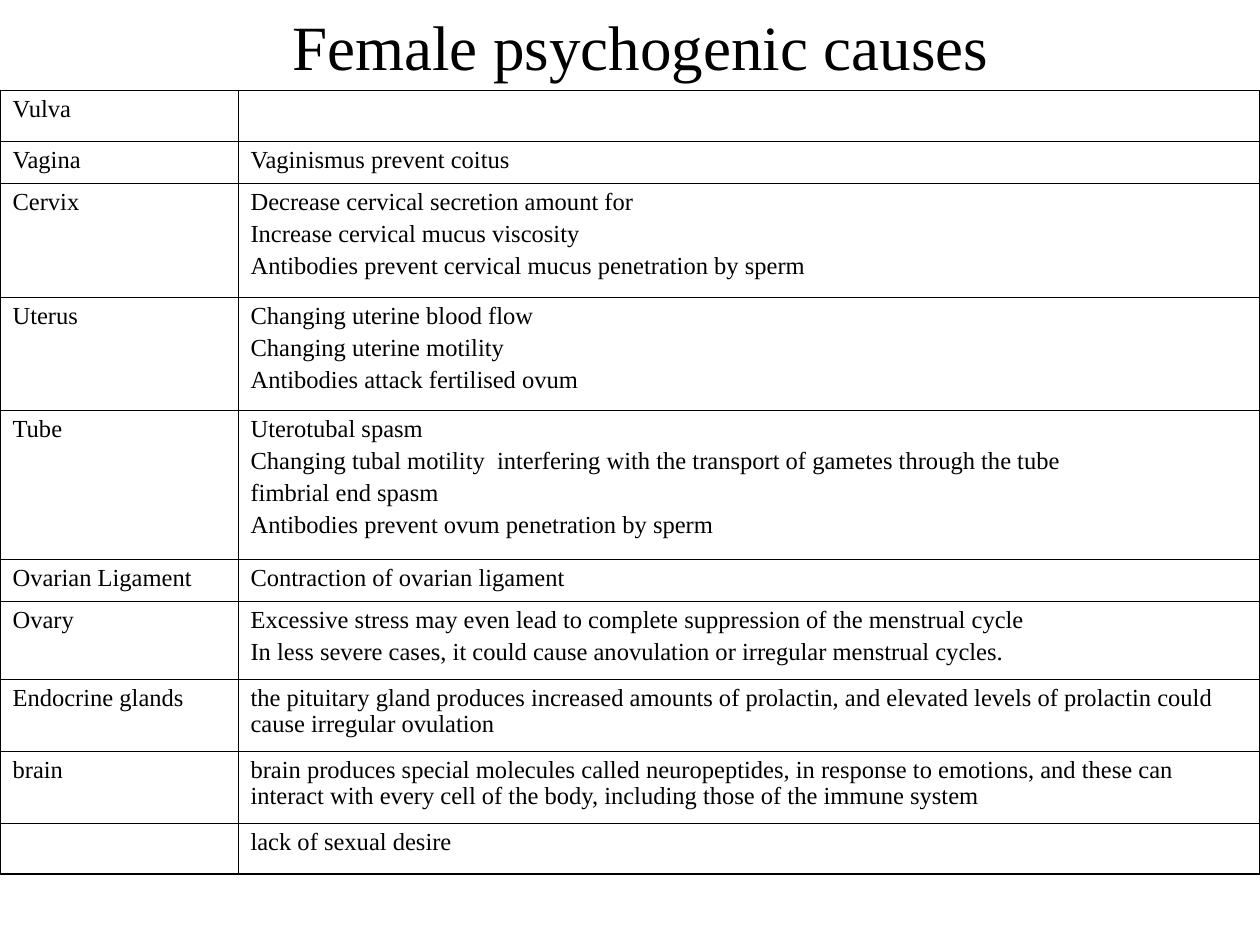
from lxml import etree
from pptx import Presentation
from pptx import util as u
from pptx.dml.color import RGBColor
from pptx.enum import text
from pptx.oxml import ns

Pt = u.Pt
INK = "000000"
THIN, THICK = 0.45, 1.08
WIDTHS = [136, 584]
CAUSES = [
    (27.5, "Vulva", []),
    (24, "Vagina", ["Vaginismus prevent coitus"]),
    (65, "Cervix", ["Decrease cervical secretion amount for",
                    "Increase cervical mucus viscosity",
                    "Antibodies prevent cervical mucus penetration by sperm"]),
    (64.6, "Uterus", ["Changing uterine blood flow",
                      "Changing uterine motility",
                      "Antibodies attack fertilised ovum"]),
    (85, "Tube", ["Uterotubal spasm",
                  "Changing tubal motility  interfering with the transport "
                  "of gametes through the tube",
                  "fimbrial end spasm",
                  "Antibodies prevent ovum penetration by sperm"]),
    (24, "Ovarian Ligament", ["Contraction of ovarian ligament"]),
    (44.6, "Ovary", ["Excessive stress may even lead to complete suppression "
                     "of the menstrual cycle",
                     "In less severe cases, it could cause anovulation or "
                     "irregular menstrual cycles."]),
    (41.1, "Endocrine glands", ["the pituitary gland produces increased amounts "
                                "of prolactin, and elevated levels of prolactin "
                                "could cause irregular ovulation"]),
    (41.1, "brain", ["brain produces special molecules called neuropeptides, "
                     "in response to emotions, and these can interact with "
                     "every cell of the body, including those of the immune "
                     "system"]),
    (27, "", ["lack of sexual desire"]),
]


def color(code):
    return RGBColor.from_string(code)


def style(run, size):
    for key, val in {"name": "Times New Roman", "size": Pt(size)}.items():
        setattr(run.font, key, val)
    run.font.color.rgb = color(INK)


def add_title(slide, words):
    title = slide.shapes.title
    box = {"left": 60, "top": 0, "width": 612, "height": 52}
    for key, val in box.items():
        setattr(title, key, Pt(val))
    frame = title.text_frame
    frame.vertical_anchor = text.MSO_ANCHOR.MIDDLE
    para = frame.paragraphs[0]
    para.alignment = text.PP_ALIGN.CENTER
    run = para.add_run()
    run.text = words
    style(run, 36)


def fill_cell(cell, lines):
    cell.fill.background()
    frame = cell.text_frame
    for i, line in enumerate(lines):
        para = frame.add_paragraph() if i else frame.paragraphs[0]
        para.line_spacing = 0.96
        if i:
            para.space_before = Pt(3.5)
        run = para.add_run()
        run.text = line
        style(run, 14)


def set_edges(cell, widths):
    """Draw the left, right, top and bottom borders, in that order."""
    props = cell._tc.get_or_add_tcPr()
    for i, (side, width) in enumerate(zip("LRTB", widths)):
        line = etree.Element(ns.qn(f"a:ln{side}"), w=str(int(Pt(width))))
        fill = etree.SubElement(line, ns.qn("a:solidFill"))
        etree.SubElement(fill, ns.qn("a:srgbClr"), val=INK)
        props.insert(i, line)


def add_causes(slide):
    high = sum(row[0] for row in CAUSES)
    frame = slide.shapes.add_table(len(CAUSES), len(WIDTHS), Pt(0), Pt(51.8),
                                   Pt(sum(WIDTHS)), Pt(high))
    table = frame.table
    table.first_row = table.horz_banding = False
    for col, width in zip(table.columns, WIDTHS):
        col.width = Pt(width)
    last = len(CAUSES) - 1
    for r, (height, organ, effects) in enumerate(CAUSES):
        table.rows[r].height = Pt(height)
        for c, lines in enumerate([[organ] if organ else [], effects]):
            cell = table.cell(r, c)
            fill_cell(cell, lines)
            outer = [c == 0, c == 1, r == 0, r == last]
            set_edges(cell, [THICK if edge else THIN for edge in outer])


def main():
    deck = Presentation()
    deck.slide_width, deck.slide_height = Pt(720), Pt(540)
    slide = deck.slides.add_slide(deck.slide_layouts[5])
    add_title(slide, "Female psychogenic causes")
    add_causes(slide)
    deck.save("out.pptx")


if __name__ == "__main__":
    main()
